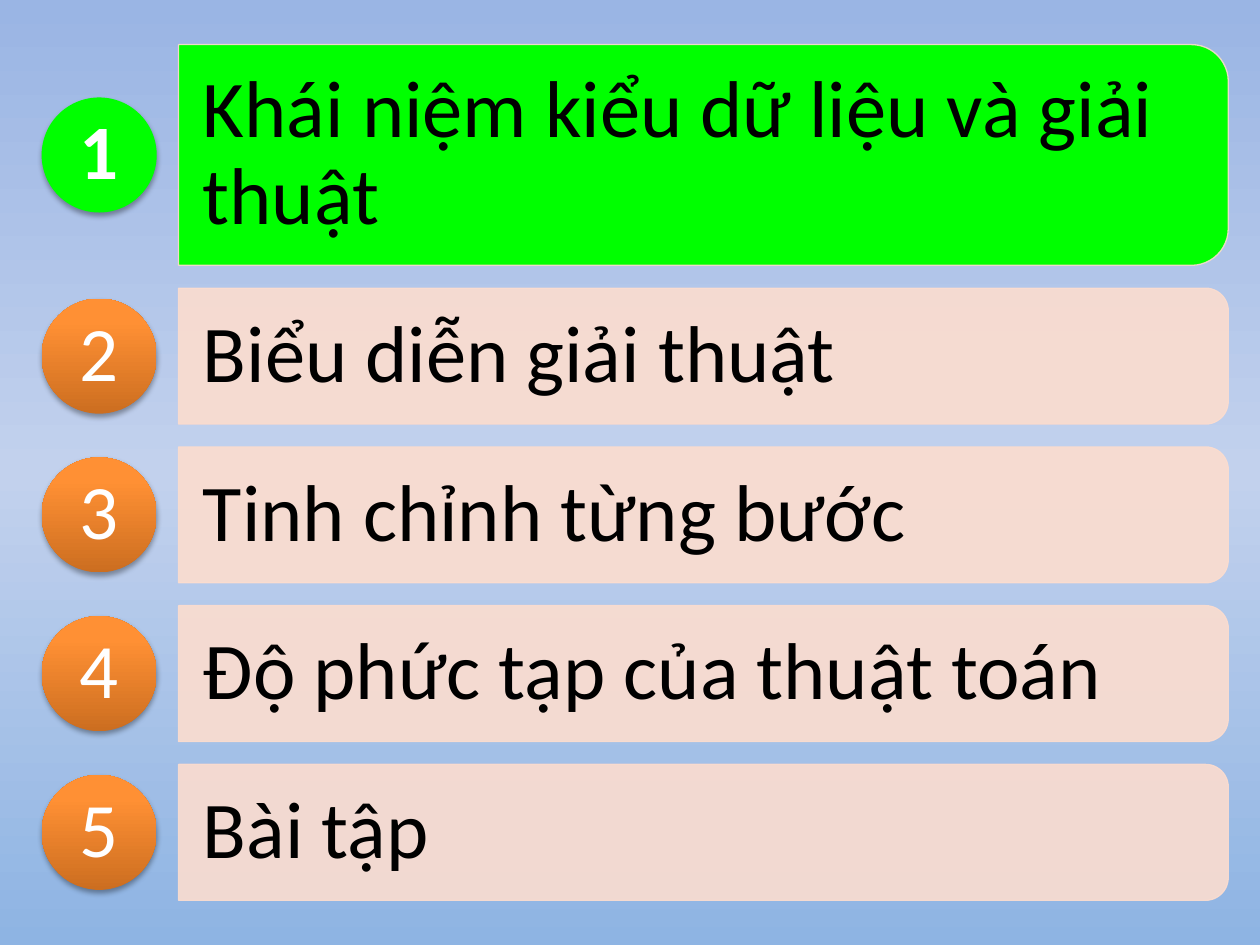
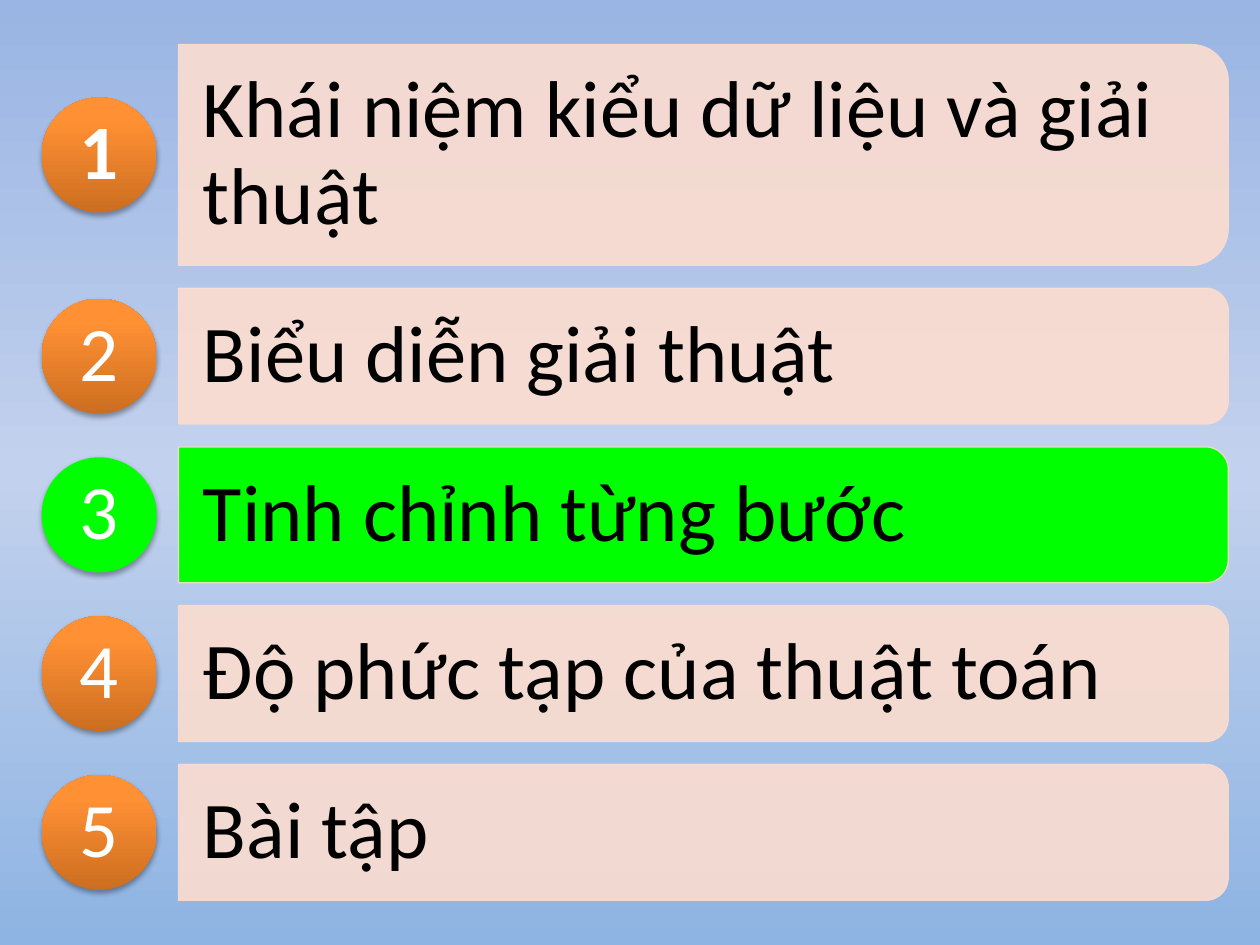
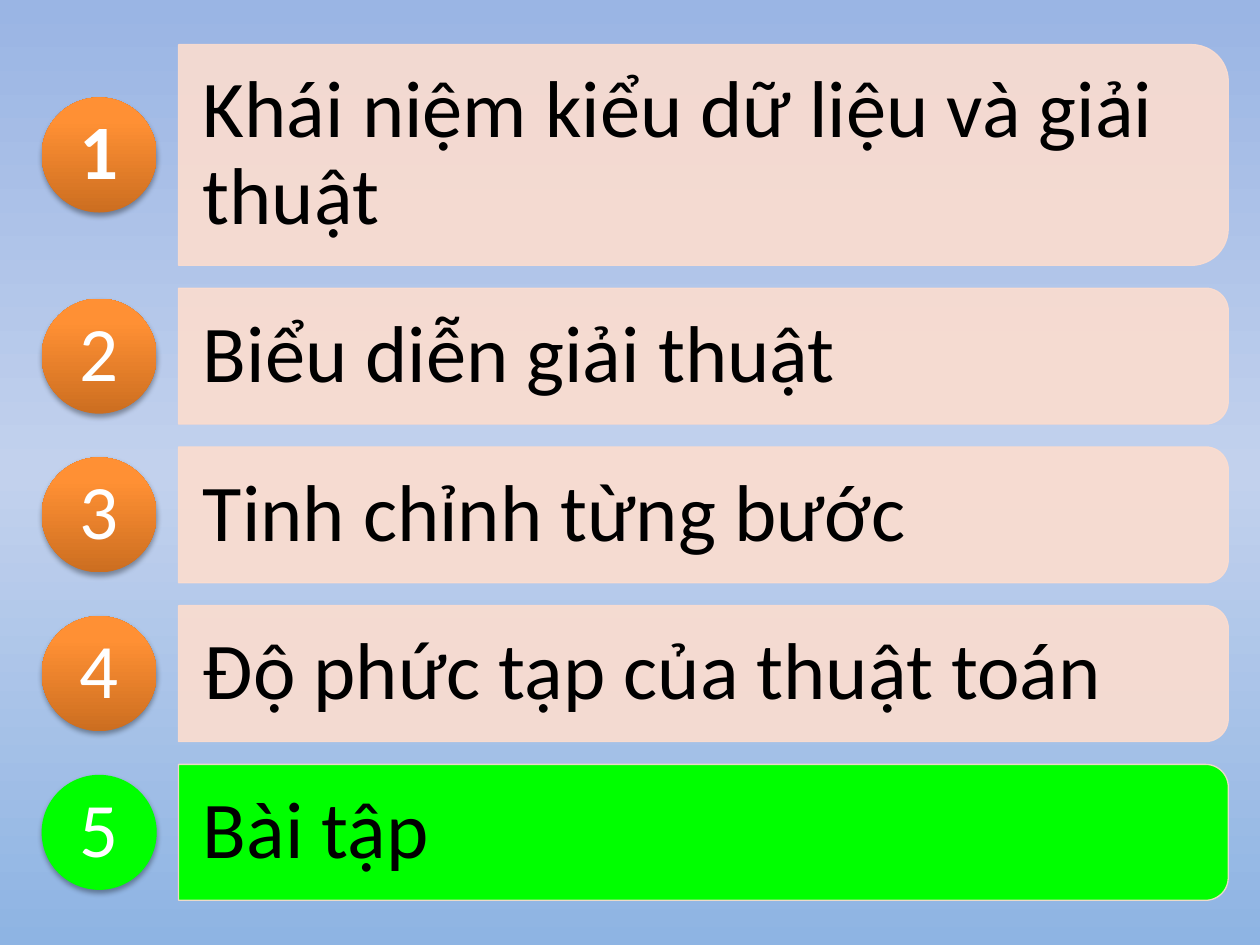
from copy import deepcopy
from lxml.etree import SubElement as Sub
from pptx import Presentation
from pptx.dml.color import RGBColor as RGB
from pptx.enum.shapes import MSO_SHAPE as Kind
from pptx.enum.text import MSO_ANCHOR as Anchor, PP_ALIGN as Align
from pptx.oxml.ns import qn
from pptx.util import Cm, Pt

GREEN = RGB(0x00, 0xFF, 0x00)
PEACH = RGB(0xFC, 0xDD, 0xCF)
BLACK = RGB(0x00, 0x00, 0x00)
WHITE = RGB(0xFF, 0xFF, 0xFF)
SKY = [(0, RGB(0x9A, 0xB5, 0xE4)), (0.5, RGB(0xC2, 0xD1, 0xED)),
       (1, RGB(0x8E, 0xB4, 0xE3))]
AMBER = [(0, RGB(0xCC, 0x6E, 0x20)), (0.8, RGB(0xFF, 0x90, 0x34)),
         (1, RGB(0xFF, 0x91, 0x36))]
FONT = "Calibri"

TOPICS = ["Khái niệm kiểu dữ liệu và giải thuật", "Biểu diễn giải thuật",
          "Tinh chỉnh từng bước", "Độ phức tạp của thuật toán", "Bài tập"]
ACTIVE = [1, 3, 5]  # highlighted topic on each slide

# Agenda layout in centimetres
TOP, GAP = 0.9, 0.46
LEFT, WIDTH = 3.6, 21.16
TALL, LOW = 4.45, 2.74
DISC_X, DISC = 0.84, 2.32


def blend(fill, owner, stops, angle):
    """Fill with a linear gradient of three stops."""
    fill.gradient()
    fill.gradient_angle = angle
    row = owner.xpath(".//a:gsLst")[0]
    row.append(deepcopy(row[0]))
    for stop, (pos, color) in zip(fill.gradient_stops, stops):
        stop.position = pos
        stop.color.rgb = color


def write(shape, text, size, color, align, pad_x, pad_y):
    """Put one line of agenda text in a shape."""
    frame = shape.text_frame
    frame.word_wrap = True
    frame.vertical_anchor = Anchor.MIDDLE
    frame.margin_left = frame.margin_right = Cm(pad_x)
    frame.margin_top = frame.margin_bottom = Cm(pad_y)
    para = frame.paragraphs[0]
    para.text = text
    para.alignment = align
    para.line_spacing = 0.9
    para.font.name = FONT
    para.font.size = Pt(size)
    para.font.color.rgb = color
    return para


prs = Presentation()
prs.slide_width, prs.slide_height = Cm(25.4), Cm(19.05)

for active in ACTIVE:
    slide = prs.slides.add_slide(prs.slide_layouts[6])
    blend(slide.background.fill, slide.element, SKY, 270)
    shapes = slide.shapes
    y = TOP
    for num, topic in enumerate(TOPICS, 1):
        high = TALL if num == 1 else LOW
        mid = y + high / 2

        # Bar, turned so that its round corners face right
        bar = shapes.add_shape(
            Kind.ROUND_2_SAME_RECTANGLE, Cm(LEFT + (WIDTH - high) / 2),
            Cm(mid - WIDTH / 2), Cm(high), Cm(WIDTH))
        bar.rotation = 90
        bar.shadow.inherit = False
        bar.fill.solid()
        bar.fill.fore_color.rgb = GREEN if num == active else PEACH
        bar.line.color.rgb = PEACH
        bar.line.width = Pt(0.75)
        for tint in bar._element.spPr.iter(qn("a:srgbClr")):
            if tint.get("val") == str(PEACH):
                Sub(tint, qn("a:alpha"), val="90000")

        # Topic, kept clear of the round corners
        inset = high * 0.05
        box = shapes.add_textbox(Cm(LEFT), Cm(y + inset), Cm(WIDTH - inset),
                                 Cm(high - 2 * inset))
        write(box, topic, 46, BLACK, Align.LEFT, 0.49, 0.33)

        # Numbered disc with a soft shadow
        disc = shapes.add_shape(Kind.OVAL, Cm(DISC_X), Cm(mid - DISC / 2),
                                Cm(DISC), Cm(DISC))
        if num == active:
            disc.fill.solid()
            disc.fill.fore_color.rgb = GREEN
        else:
            blend(disc.fill, disc._element, AMBER, 90)
        disc.line.fill.background()
        disc.shadow.inherit = False
        glow = Sub(disc._element.spPr.find(qn("a:effectLst")),
                   qn("a:outerShdw"), blurRad="40000", dist="23000",
                   dir="5400000", rotWithShape="0")
        shade = Sub(glow, qn("a:srgbClr"), val=str(BLACK))
        Sub(shade, qn("a:alpha"), val="35000")
        para = write(disc, str(num), 44, WHITE, Align.CENTER, 0, 0)
        if num == 1:
            para.font.bold = True

        y += high + GAP

prs.save("out.pptx")
